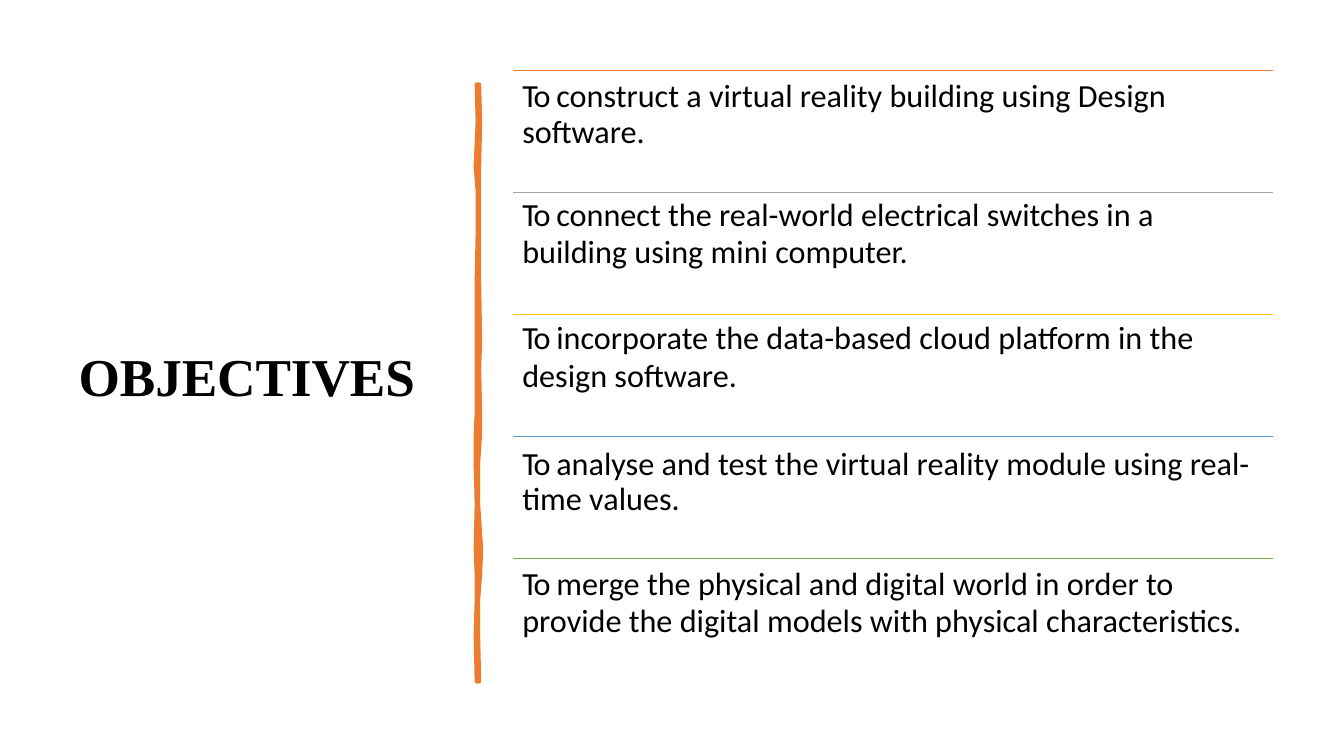
from dataclasses import dataclass

from lxml import etree
from pptx import Presentation
from pptx import util as u
from pptx.dml.color import RGBColor
from pptx.enum import shapes, text
from pptx.oxml.ns import qn


@dataclass(frozen=True)
class Theme:
    ink: str = "000000"
    brush: str = "EC7C30"
    rules: tuple = ("EC7C30", "A4A4A4", "FFC000", "5B9BD4", "6FAC46")
    head: str = "Times New Roman"
    body: str = "Calibri"
    big: float = 38
    size: float = 23


THEME = Theme()

# Wording, line height and space before, in points
GOALS = [
    ("construct a virtual reality building using Design software.", 25.5, 0),
    ("connect the real-world electrical switches in a\vbuilding using mini computer.", 26.6, 32.7),
    ("incorporate the data-based cloud platform in the design software.", 26.6, 34.8),
    ("analyse and test the virtual reality module using real-time values.", 25.5, 37.4),
    ("merge the physical and digital world in order to "
     "provide the digital models with physical characteristics.", 26.6, 34.1),
]

# Brush stroke: height on the slide, left edge, right edge
STROKE = [
    (0.84, 4.73, 4.75), (1.2, 4.74, 4.76), (1.65, 4.72, 4.75), (1.9, 4.74, 4.75),
    (2.3, 4.74, 4.75), (2.8, 4.73, 4.75), (3.4, 4.73, 4.76), (3.65, 4.73, 4.75),
    (4.1, 4.73, 4.76), (4.3, 4.72, 4.76), (4.6, 4.72, 4.74), (5.0, 4.73, 4.74),
    (5.45, 4.72, 4.77), (5.7, 4.73, 4.76), (5.95, 4.73, 4.74), (6.3, 4.72, 4.74),
    (6.76, 4.73, 4.75),
]


def place(shape, left, top, width, height):
    shape.left, shape.top = u.Inches(left), u.Inches(top)
    shape.width, shape.height = u.Inches(width), u.Inches(height)
    frame = shape.text_frame
    frame.margin_left = frame.margin_right = 0
    frame.margin_top = frame.margin_bottom = 0
    frame.vertical_anchor = text.MSO_ANCHOR.TOP
    frame.auto_size = text.MSO_AUTO_SIZE.NONE
    frame.word_wrap = True
    return frame


def write(para, words, font=THEME.body, size=THEME.size, color=THEME.ink, bold=False, track=0):
    """Add words to a paragraph; track is letter spacing in points."""
    for i, line in enumerate(words.split("\v")):
        if i:
            para.add_line_break()
        run = para.add_run()
        run.text = line
        run.font.name, run.font.size, run.font.bold = font, u.Pt(size), bold
        run.font.color.rgb = RGBColor.from_string(color)
        if track:
            run.font._element.set("spc", str(round(track * 100)))


def plain(para):
    """Remove bullet and indent."""
    props = para._p.get_or_add_pPr()
    props.set("marL", "0")
    props.set("indent", "0")
    etree.SubElement(props, qn("a:buNone"))


def title(slide, words):
    frame = place(slide.shapes.title, 0.78, 3.41, 3.4, 0.67)
    para = frame.paragraphs[0]
    para.alignment = text.PP_ALIGN.LEFT
    write(para, words, font=THEME.head, size=THEME.big, bold=True, track=-0.1)


def goals(slide, items):
    frame = place(slide.placeholders[1], 5.18, 0.78, 7.34, 5.6)
    for i, (words, lead, gap) in enumerate(items):
        para = frame.add_paragraph() if i else frame.paragraphs[0]
        para.line_spacing, para.space_before = u.Pt(lead), u.Pt(gap)
        plain(para)
        write(para, "To ", track=-1.1)
        write(para, words)


def rule(slide, top, color):
    line = slide.shapes.add_connector(
        shapes.MSO_CONNECTOR.STRAIGHT,
        u.Inches(5.09), u.Inches(top), u.Inches(12.63), u.Inches(top))
    line.line.color.rgb = RGBColor.from_string(color)
    line.line.width = u.Pt(1)
    etree.SubElement(line._element.spPr, qn("a:effectLst"))


def brush(slide, rows):
    edge = [(left, y) for y, left, _ in rows]
    edge += [(right, y) for y, _, right in reversed(rows)]
    path = [(u.Inches(x), u.Inches(y)) for x, y in edge]
    build = slide.shapes.build_freeform(*path[0])
    build.add_line_segments(path[1:], close=True)
    shape = build.convert_to_shape()
    shape.shadow.inherit = False
    shape.fill.solid()
    shape.fill.fore_color.rgb = RGBColor.from_string(THEME.brush)
    shape.line.color.rgb = RGBColor.from_string(THEME.brush)
    shape.line.width = u.Pt(3.25)
    etree.SubElement(shape.line._get_or_add_ln(), qn("a:round"))


def main():
    deck = Presentation()
    deck.slide_width, deck.slide_height = u.Inches(13.33), u.Inches(7.5)
    slide = deck.slides.add_slide(deck.slide_layouts[1])
    title(slide, "OBJECTIVES")
    brush(slide, STROKE)
    # Evenly spaced rules above the goals
    for i, color in enumerate(THEME.rules):
        rule(slide, 0.7 + 1.21 * i, color)
    goals(slide, GOALS)
    deck.save("out.pptx")


if __name__ == "__main__":
    main()
